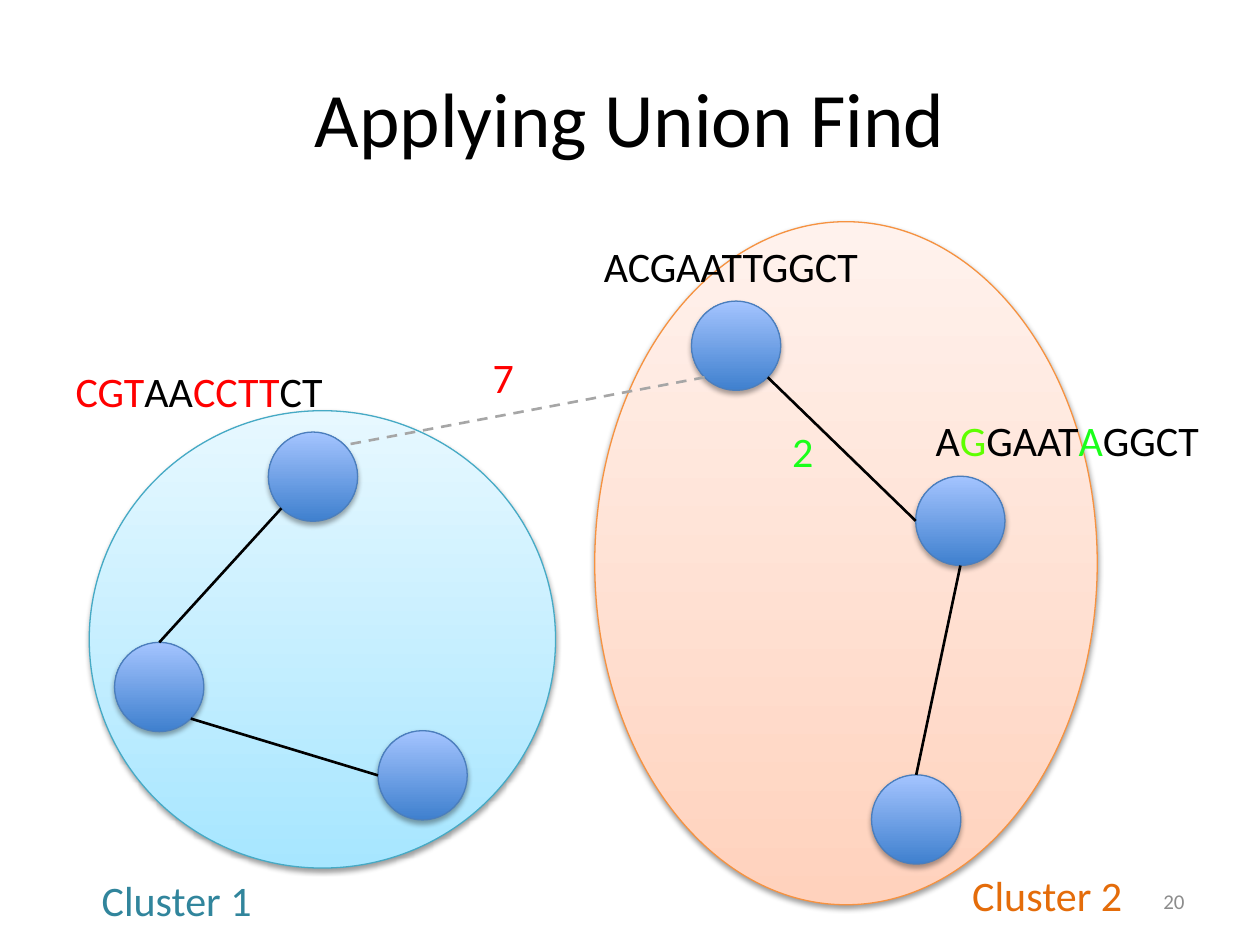
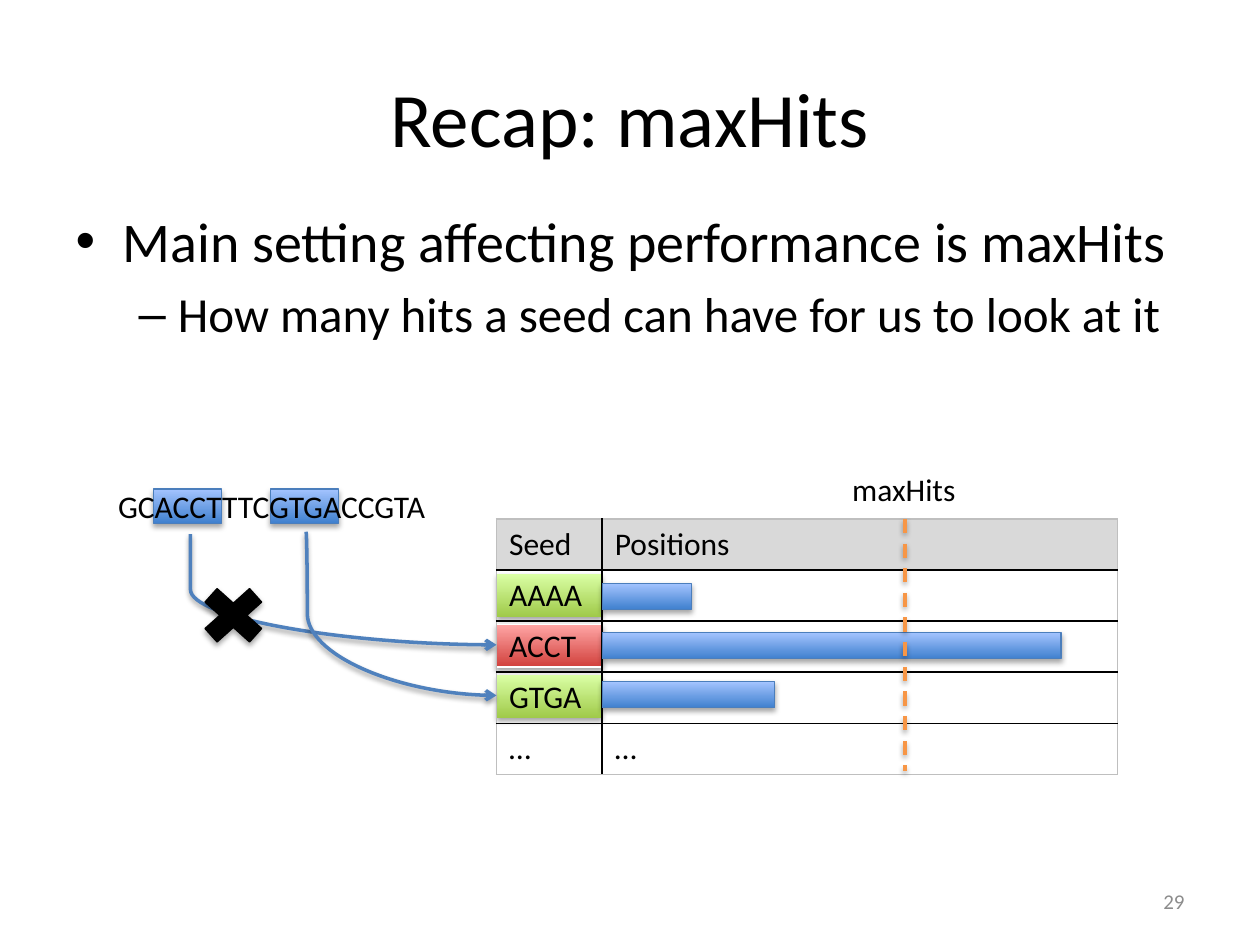
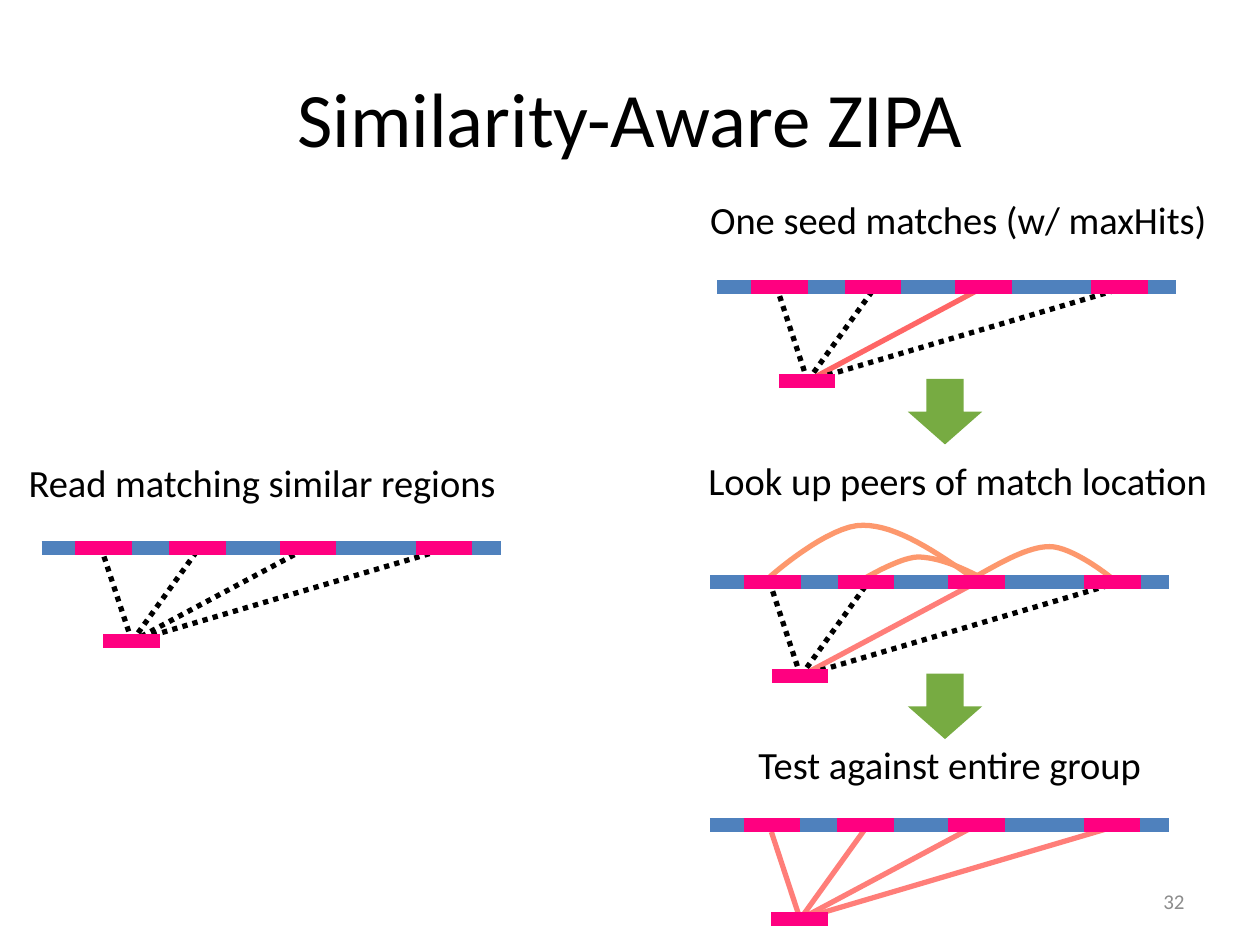
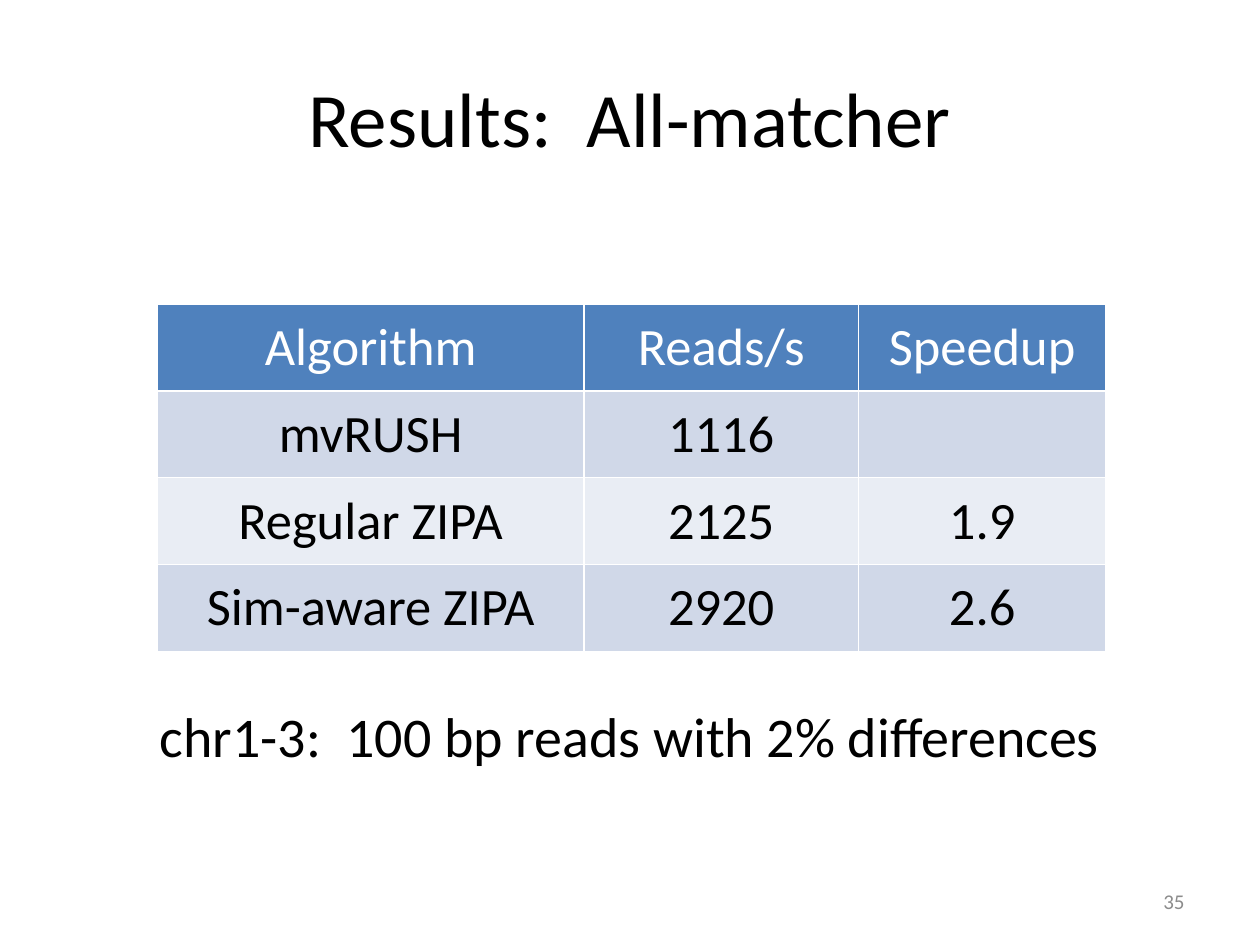
import math

from lxml import etree
from pptx import Presentation
from pptx.dml.color import RGBColor
from pptx.enum import dml, shapes, text
from pptx.oxml.ns import qn
from pptx.util import Cm, Pt

FONT = "Calibri"
BLACK = RGBColor(0x00, 0x00, 0x00)
WHITE = RGBColor(0xFF, 0xFF, 0xFF)
NUMBER_GREY = RGBColor(0x8C, 0x8C, 0x8C)
DASH_GREY = RGBColor(0xA6, 0xA6, 0xA6)
BORDER_GREY = RGBColor(0xBF, 0xBF, 0xBF)
HEADER_GREY = RGBColor(0xD9, 0xD9, 0xD9)
RED = RGBColor(0xFF, 0x00, 0x00)
LIME = RGBColor(0x5F, 0xFF, 0x00)
GREEN = RGBColor(0x1A, 0xFF, 0x1A)
BLUE = RGBColor(0x4F, 0x81, 0xBD)
BLUE_EDGE = RGBColor(0x4B, 0x7E, 0xBC)
ORANGE = RGBColor(0xF7, 0x96, 0x46)
ORANGE_EDGE = RGBColor(0xF6, 0x92, 0x40)
ORANGE_TEXT = RGBColor(0xE4, 0x6C, 0x0A)
TEAL_EDGE = RGBColor(0x46, 0xAA, 0xC5)
TEAL_TEXT = RGBColor(0x31, 0x85, 0x9C)
PINK = RGBColor(0xFF, 0x00, 0x80)
SEED_RED = RGBColor(0xFF, 0x66, 0x66)
MATCH_RED = RGBColor(0xFF, 0x7E, 0x79)
PEER_ORANGE = RGBColor(0xFD, 0x98, 0x6D)
ARROW_GREEN = RGBColor(0x77, 0xAB, 0x42)
BAND_DARK = RGBColor(0xD0, 0xD8, 0xE8)
BAND_LIGHT = RGBColor(0xE9, 0xED, 0xF4)

# Gradients run from bottom to top.
BLUE_GRADIENT = (RGBColor(0x3F, 0x80, 0xCE), RGBColor(0xA4, 0xC4, 0xFF))
GREEN_GRADIENT = (RGBColor(0xA0, 0xCA, 0x4A), RGBColor(0xDA, 0xFF, 0xA5))
RED_GRADIENT = (RGBColor(0xD1, 0x40, 0x3C), RGBColor(0xFF, 0xA6, 0xA5))
PEACH_GRADIENT = (RGBColor(0xFF, 0xD2, 0xBD), RGBColor(0xFF, 0xF2, 0xED))
SKY_GRADIENT = (RGBColor(0xA7, 0xE6, 0xFF), RGBColor(0xE7, 0xF8, 0xFF))

# Shadows are (opacity in percent, distance in points).
STRONG_SHADOW = (35, 1.8)
SOFT_SHADOW = (38, 1.6)

LEFT, CENTER, RIGHT = text.PP_ALIGN.LEFT, text.PP_ALIGN.CENTER, text.PP_ALIGN.RIGHT
STRAIGHT, CURVE = shapes.MSO_CONNECTOR.STRAIGHT, shapes.MSO_CONNECTOR.CURVE
RECTANGLE, OVAL = shapes.MSO_SHAPE.RECTANGLE, shapes.MSO_SHAPE.OVAL
DASH, DOTS = dml.MSO_LINE.DASH, dml.MSO_LINE.ROUND_DOT


def add_text(slide, runs, left, top, width, height, size, align=LEFT):
    """Add a one-paragraph text box; runs are (words, color) pairs."""
    box = slide.shapes.add_textbox(Cm(left), Cm(top), Cm(width), Cm(height))
    box.text_frame.word_wrap = True
    paragraph = box.text_frame.paragraphs[0]
    paragraph.alignment = align
    paragraph.font.name = FONT
    paragraph.font.size = Pt(size)
    for words, color in runs:
        run = paragraph.add_run()
        run.text = words
        run.font.color.rgb = color
    return box


def style(shape, line=None, width=0.75, dash=None, fill=None, shadow=None):
    """Format a shape or connector; fill is a color or a gradient pair."""
    if isinstance(fill, RGBColor):
        shape.fill.solid()
        shape.fill.fore_color.rgb = fill
    elif fill:
        shape.fill.gradient()
        shape.fill.gradient_angle = 90
        for stop, color in zip(shape.fill.gradient_stops, fill):
            stop.color.rgb = color
    if line is None:
        shape.line.fill.background()
    else:
        shape.line.color.rgb = line
        shape.line.width = Pt(width)
    if dash:
        shape.line.dash_style = dash
    effects = etree.SubElement(shape._element.spPr, qn("a:effectLst"))
    if shadow:
        opacity, distance = shadow
        outer = etree.SubElement(
            effects, qn("a:outerShdw"), blurRad=str(Pt(3.1)), dist=str(Pt(distance)),
            dir="5400000", rotWithShape="0")
        color = etree.SubElement(outer, qn("a:srgbClr"), val="000000")
        etree.SubElement(color, qn("a:alpha"), val=str(opacity * 1000))


presentation = Presentation()
presentation.slide_width = Cm(25.4)
presentation.slide_height = Cm(19.05)
title_and_content, title_only = presentation.slide_layouts[1], presentation.slide_layouts[5]

slides = []
for title, number, layout in [
    ("Applying Union Find", "20", title_only),
    ("Recap: maxHits", "29", title_and_content),
    ("Similarity-Aware ZIPA", "32", title_only),
    ("Results:  All-matcher", "35", title_only),
]:
    slide = presentation.slides.add_slide(layout)
    heading = slide.shapes.title
    heading.left, heading.top, heading.width, heading.height = Cm(1.27), Cm(0.76), Cm(22.86), Cm(3.18)
    heading.text_frame.text = title
    paragraph = heading.text_frame.paragraphs[0]
    paragraph.alignment = CENTER
    paragraph.font.name = FONT
    paragraph.font.size = Pt(44)
    paragraph.font.color.rgb = BLACK
    number_box = add_text(slide, [(number, NUMBER_GREY)], 18.21, 17.65, 5.92, 1.02, 12, RIGHT)
    number_box.text_frame.vertical_anchor = text.MSO_ANCHOR.MIDDLE
    slides.append(slide)
union_find, recap, similarity, results = slides

# Slide 1: two clusters of linked nodes
for left, top, width, height, fill, edge in [
    (11.99, 4.47, 10.13, 13.77, PEACH_GRADIENT, ORANGE_EDGE),
    (1.8, 8.28, 9.4, 9.22, SKY_GRADIENT, TEAL_EDGE),
]:
    cluster = union_find.shapes.add_shape(OVAL, Cm(left), Cm(top), Cm(width), Cm(height))
    style(cluster, edge, fill=fill, shadow=SOFT_SHADOW)

RADIUS = 0.9
node_centers = {
    "upper": (14.84, 6.97), "middle": (19.36, 10.5), "lower": (18.47, 16.52),
    "first": (6.31, 9.61), "second": (3.21, 13.85), "third": (8.52, 15.63),
}
for x, y in node_centers.values():
    node = union_find.shapes.add_shape(OVAL, Cm(x - RADIUS), Cm(y - RADIUS), Cm(2 * RADIUS), Cm(2 * RADIUS))
    style(node, BLUE_EDGE, fill=BLUE_GRADIENT, shadow=STRONG_SHADOW)

# Each end is a node and the direction in which the edge leaves it.
for ends, color, dash in [
    ((("upper", 1, 1), ("middle", -1, 0)), BLACK, None),
    ((("upper", -1, 1), ("first", 1, -1)), DASH_GREY, DASH),
    ((("third", -1, 0), ("second", 1, 1)), BLACK, None),
    ((("middle", 0, 1), ("lower", 0, -1)), BLACK, None),
    ((("second", 0, -1), ("first", -1, 1)), BLACK, None),
]:
    points = []
    for name, dx, dy in ends:
        x, y = node_centers[name]
        reach = RADIUS / math.hypot(dx, dy)
        points += [Cm(x + dx * reach), Cm(y + dy * reach)]
    edge = union_find.shapes.add_connector(STRAIGHT, *points)
    style(edge, color, 1.5, dash)

for runs, left, top, width, align in [
    ([("Cluster 2", ORANGE_TEXT)], 19.35, 17.4, 6.05, LEFT),
    ([("Cluster 1", TEAL_TEXT)], 1.8, 17.5, 6.83, LEFT),
    ([("ACGAATTGGCT", BLACK)], 11.13, 4.72, 7.21, CENTER),
    ([("A", BLACK), ("G", LIME), ("GAAT", BLACK), ("A", GREEN), ("GGCT", BLACK)], 17.91, 8.23, 7.21, CENTER),
    ([("CGT", RED), ("AA", BLACK), ("CCTT", RED), ("CT", BLACK)], 0.41, 7.24, 7.21, CENTER),
    ([("2", GREEN)], 15.72, 8.46, 1, LEFT),
    ([("7", RED)], 9.68, 6.96, 1.37, LEFT),
]:
    add_text(union_find, runs, left, top, width, 1.27, 24, align)

# Slide 2: seed index with a cut-off
body = recap.placeholders[1]
body.left, body.top, body.width, body.height = Cm(1.27), Cm(4.04), Cm(22.86), Cm(5.94)
body.text_frame.text = ("Main setting affecting performance is maxHits\n"
                        "How many hits a seed can have for us to look at it")
for level, (paragraph, size) in enumerate(zip(body.text_frame.paragraphs, (32, 28))):
    paragraph.level = level
    paragraph.font.name = FONT
    paragraph.font.size = Pt(size)
    paragraph.font.color.rgb = BLACK

for left in (3.1, 5.46):
    seed = recap.shapes.add_shape(RECTANGLE, Cm(left), Cm(9.86), Cm(1.37), Cm(0.69))
    style(seed, BLUE_EDGE, fill=BLUE_GRADIENT, shadow=STRONG_SHADOW)

TABLE_LEFT, TABLE_TOP, SEED_WIDTH, ROW_HEIGHT = 10.01, 10.46, 2.13, 1.03
for row, (fill, edge) in enumerate([(GREEN_GRADIENT, None), (RED_GRADIENT, WHITE), (GREEN_GRADIENT, None)]):
    seed = recap.shapes.add_shape(
        RECTANGLE, Cm(TABLE_LEFT), Cm(11.57 + 1.02 * row), Cm(SEED_WIDTH), Cm(0.86))
    style(seed, edge, fill=fill, shadow=STRONG_SHADOW)

index_rows = [("Seed", "Positions"), ("AAAA", ""), ("ACCT", ""), ("GTGA", ""), ("…", "…")]
index_table = recap.shapes.add_table(
    5, 2, Cm(TABLE_LEFT), Cm(TABLE_TOP), Cm(12.52), Cm(5 * ROW_HEIGHT)).table
index_table.first_row = index_table.horz_banding = False
index_table.columns[0].width, index_table.columns[1].width = Cm(SEED_WIDTH), Cm(10.39)
for row, values in enumerate(index_rows):
    index_table.rows[row].height = Cm(ROW_HEIGHT)
    for column, value in enumerate(values):
        cell = index_table.cell(row, column)
        cell.text = value
        paragraph = cell.text_frame.paragraphs[0]
        paragraph.font.name = FONT
        paragraph.font.size = Pt(18)
        paragraph.font.color.rgb = BLACK
        borders = {"a:lnL": column == 0, "a:lnR": column == 1, "a:lnT": row == 0, "a:lnB": row == 4}
        for tag, is_outer in borders.items():
            border = etree.SubElement(cell._tc.get_or_add_tcPr(), qn(tag), w=str(Pt(1)))
            solid = etree.SubElement(border, qn("a:solidFill"))
            etree.SubElement(solid, qn("a:srgbClr"), val=str(BORDER_GREY if is_outer else BLACK))
        if row == 0:
            cell.fill.solid()
            cell.fill.fore_color.rgb = HEADER_GREY
        else:
            cell.fill.background()

for row, width in enumerate((1.8, 9.25, 3.48)):
    hits = recap.shapes.add_shape(
        RECTANGLE, Cm(TABLE_LEFT + SEED_WIDTH), Cm(11.76 + 0.99 * row), Cm(width), Cm(0.53))
    style(hits, BLUE_EDGE, fill=BLUE_GRADIENT, shadow=STRONG_SHADOW)

limit = recap.shapes.add_connector(STRAIGHT, Cm(18.24), Cm(TABLE_TOP), Cm(18.24), Cm(15.54))
style(limit, ORANGE, 2, DASH, shadow=SOFT_SHADOW)
add_text(recap, [("maxHits", BLACK)], 16.66, 9.35, 3.12, 1.02, 18, CENTER)
add_text(recap, [("GCACCTTTCGTGACCGTA", BLACK)], 2.13, 9.7, 7.16, 1.02, 18)

for x, top, bottom, bend in [(3.84, 10.77, 13, 0), (6.17, 10.72, 14.02, 700)]:
    lookup = recap.shapes.add_connector(CURVE, Cm(x), Cm(top), Cm(TABLE_LEFT), Cm(bottom))
    style(lookup, BLUE, 2, shadow=SOFT_SHADOW)
    properties = lookup._element.spPr
    etree.SubElement(properties.find(qn("a:ln")), qn("a:tailEnd"), type="arrow")
    adjustments = properties.find(qn("a:prstGeom")).find(qn("a:avLst"))
    etree.SubElement(adjustments, qn("a:gd"), name="adj1", fmla=f"val {bend}")

cross = recap.shapes.add_shape(shapes.MSO_SHAPE.MATH_MULTIPLY, Cm(3.84), Cm(11.63), Cm(1.73), Cm(1.55))
style(cross, BLACK, fill=BLACK, shadow=STRONG_SHADOW)

# Slide 3: the same genome and read at four stages
peer_curves = [
    [(19.66, 11.63), (20.19, 11.33), (20.73, 11.02), (21.16, 11.02), (21.62, 11.02), (22.38, 11.63), (22.38, 11.63)],
    [(19.71, 11.61), (19.3, 11.4), (18.87, 11.23), (18.49, 11.23), (18.11, 11.25), (17.4, 11.68), (17.4, 11.68)],
    [(19.66, 11.68), (18.87, 11.13), (18.08, 10.59), (17.4, 10.59), (16.71, 10.57), (15.52, 11.63), (15.52, 11.63)],
]
STEPS = 16
for controls in peer_curves:
    points = []
    for first in (0, 3):
        for step in range(1, STEPS + 1):
            t = step / STEPS
            weights = [math.comb(3, k) * (1 - t) ** (3 - k) * t ** k for k in range(4)]
            points.append([Cm(sum(weight * control[axis] for weight, control in zip(weights, controls[first:first + 4])))
                           for axis in (0, 1)])
    builder = similarity.shapes.build_freeform(Cm(controls[0][0]), Cm(controls[0][1]))
    builder.add_line_segments(points, close=False)
    peer_link = builder.convert_to_shape()
    peer_link.fill.background()
    style(peer_link, PEER_ORANGE, 3)

REGION_WIDTH, READ_DROP = 1.14, 1.89
region_offsets = (0.68, 2.57, 4.8, 7.54)
match_ends = ((1.24, 0.13), (3.18, 0), (5.36, 0), (8.4, -0.05))
for left, y, match_colors in [
    (0.84, 11.04, (BLACK, BLACK, BLACK, BLACK)),
    (14.46, 5.79, (BLACK, BLACK, SEED_RED, BLACK)),
    (14.32, 11.74, (BLACK, BLACK, MATCH_RED, BLACK)),
    (14.31, 16.64, (MATCH_RED, MATCH_RED, MATCH_RED, MATCH_RED)),
]:
    read_y = y + READ_DROP
    strokes = [(left + 1.82, read_y, left + dx, y + dy, color, 3)
               for (dx, dy), color in zip(match_ends, match_colors)]
    strokes.append((left, y, left + 9.25, y, BLUE, 8))
    strokes += [(left + dx, y, left + dx + REGION_WIDTH, y, PINK, 8) for dx in region_offsets]
    strokes.append((left + 1.24, read_y, left + 1.24 + REGION_WIDTH, read_y, PINK, 8))
    for x1, y1, x2, y2, color, width in strokes:
        stroke = similarity.shapes.add_connector(STRAIGHT, Cm(x1), Cm(y1), Cm(x2), Cm(y2))
        style(stroke, color, width, DOTS if color == BLACK else None)

for caption, left, top, width, align in [
    ("Read matching similar regions", 0.33, 9.12, 9.96, LEFT),
    ("One seed matches (w/ maxHits)", 13.92, 3.83, 10.8, CENTER),
    ("Look up peers of match location", 13.87, 9.09, 10.87, CENTER),
    ("Test against entire group", 14.99, 14.81, 8.31, CENTER),
]:
    box = add_text(similarity, [(caption, BLACK)], left, top, width, 1.19, 22, align)
    box.text_frame.word_wrap = False

for top in (7.55, 13.49):
    arrow = similarity.shapes.add_shape(shapes.MSO_SHAPE.RIGHT_ARROW, Cm(18.39), Cm(top), Cm(1.32), Cm(1.5))
    arrow.rotation = 90
    style(arrow, fill=ARROW_GREEN)

# Slide 4: results
result_rows = [
    ("Algorithm", "Reads/s", "Speedup"),
    ("mvRUSH", "1116", ""),
    ("Regular ZIPA", "2125", "1.9"),
    ("Sim-aware ZIPA", "2920", "2.6"),
]
column_widths = (8.59, 5.54, 4.98)
result_table = results.shapes.add_table(4, 3, Cm(3.18), Cm(6.13), Cm(sum(column_widths)), Cm(7)).table
for column, width in enumerate(column_widths):
    result_table.columns[column].width = Cm(width)
for row, values in enumerate(result_rows):
    result_table.rows[row].height = Cm(1.75)
    for column, value in enumerate(values):
        cell = result_table.cell(row, column)
        cell.text = value
        cell.vertical_anchor = text.MSO_ANCHOR.MIDDLE
        cell.fill.solid()
        cell.fill.fore_color.rgb = (BLUE, BAND_DARK, BAND_LIGHT, BAND_DARK)[row]
        paragraph = cell.text_frame.paragraphs[0]
        paragraph.alignment = CENTER
        paragraph.font.name = FONT
        paragraph.font.size = Pt(30)
        paragraph.font.bold = False
        paragraph.font.color.rgb = BLACK if row else WHITE
add_text(results, [("chr1-3:  100 bp reads with 2% differences", BLACK)], 1.27, 14.02, 22.86, 1.63, 32, CENTER)

presentation.save("out.pptx")
